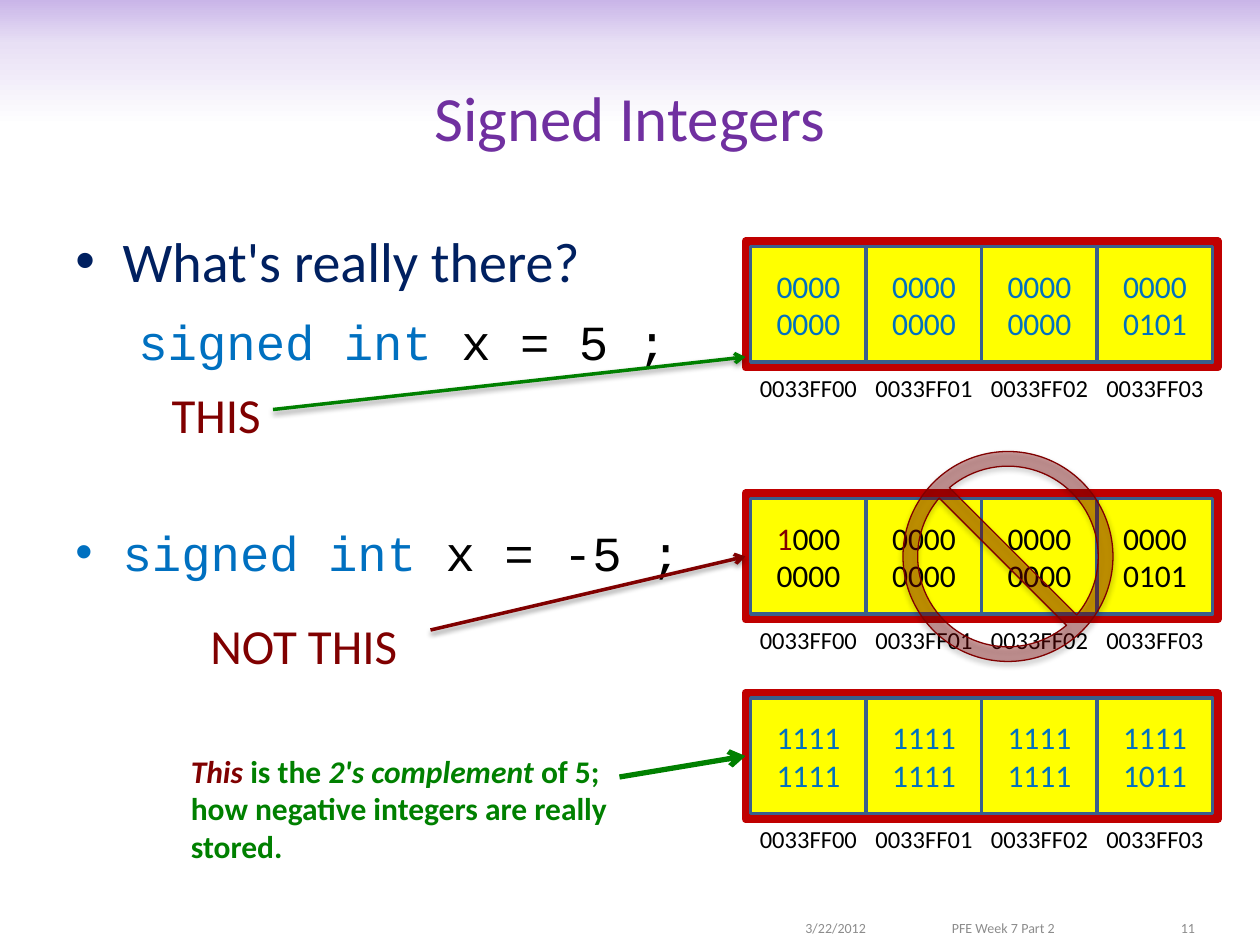
from lxml import etree
from pptx import Presentation
from pptx import util as u
from pptx.dml.color import RGBColor
from pptx.enum import shapes, text
from pptx.oxml import ns, parse_xml

Pt = u.Pt
PURPLE = RGBColor(0x70, 0x30, 0xA0)
NAVY = RGBColor(0x00, 0x20, 0x60)
BLUE = RGBColor(0x00, 0x70, 0xC0)
BLACK = RGBColor(0x00, 0x00, 0x00)
MAROON = RGBColor(0x80, 0x00, 0x00)
GREEN = RGBColor(0x00, 0x80, 0x00)
RED = RGBColor(0xC0, 0x00, 0x00)
YELLOW = RGBColor(0xFF, 0xFF, 0x00)
STEEL = RGBColor(0x3A, 0x5F, 0x8C)
GRAY = RGBColor(0x8C, 0x8C, 0x8C)
BAND_STOPS = [
    (0, RGBColor(0xC9, 0xB5, 0xE8)),
    (35, RGBColor(0xE8, 0xE0, 0xF5)),
    (100, RGBColor(0xFF, 0xFF, 0xFF)),
]
CENTER, RIGHT = text.PP_ALIGN.CENTER, text.PP_ALIGN.RIGHT
MIDDLE = text.MSO_ANCHOR.MIDDLE
RECTANGLE = shapes.MSO_SHAPE.RECTANGLE
CELL = 66


def child(parent, tag, **attributes):
    values = {key: str(value) for key, value in attributes.items()}
    return etree.SubElement(parent, ns.qn(tag), values)


class SlideBuilder:
    base = {"name": "Calibri", "size": Pt(18), "color": BLACK}

    def __init__(self, slide):
        self.slide = slide

    def add_runs(self, paragraph, runs, **style):
        for words, changes in runs:
            run = paragraph.add_run()
            run.text = words
            for key, value in {**self.base, **style, **changes}.items():
                if key == "color":
                    run.font.color.rgb = value
                else:
                    setattr(run.font, key, value)

    def fill_text(self, frame, paragraphs, align=None, anchor=None, **style):
        frame.word_wrap = True
        frame.vertical_anchor = anchor
        for index, runs in enumerate(paragraphs):
            paragraph = frame.add_paragraph() if index else frame.paragraphs[0]
            paragraph.alignment = align
            self.add_runs(paragraph, runs, **style)

    def text_box(self, box, paragraphs, **style):
        frame = self.slide.shapes.add_textbox(*map(Pt, box)).text_frame
        self.fill_text(frame, paragraphs, **style)
        return frame

    def effects(self, shape, opacity=0):
        effect_list = child(shape._element.spPr, "a:effectLst")
        if opacity:
            shadow = child(effect_list, "a:outerShdw", blurRad=Pt(3.1),
                           dist=Pt(1.7), dir=5400000, rotWithShape=0)
            color = child(shadow, "a:srgbClr", val=BLACK)
            child(color, "a:alpha", val=opacity * 1000)

    def shape(self, kind, box, fill, line, width, shadow=0):
        shape = self.slide.shapes.add_shape(kind, *map(Pt, box))
        shape.fill.solid()
        shape.fill.fore_color.rgb = fill
        shape.line.color.rgb = line
        shape.line.width = Pt(width)
        self.effects(shape, shadow)
        return shape

    def gradient_band(self, box, stops):
        band = self.slide.shapes.add_shape(RECTANGLE, *map(Pt, box))
        gradient = parse_xml(f'<a:gradFill {ns.nsdecls("a")} rotWithShape="1"/>')
        stop_list = child(gradient, "a:gsLst")
        for position, color in stops:
            stop = child(stop_list, "a:gs", pos=position * 1000)
            child(stop, "a:srgbClr", val=color)
        child(gradient, "a:lin", ang=5400000, scaled=0)
        band._element.spPr.append(gradient)
        band.line.fill.background()
        self.effects(band)

    def arrow(self, start, end, color, width, shadow=0):
        line = self.slide.shapes.add_connector(
            shapes.MSO_CONNECTOR.STRAIGHT, *map(Pt, start + end))
        line.line.color.rgb = color
        line.line.width = Pt(width)
        child(line._element.spPr.find(ns.qn("a:ln")), "a:tailEnd", type="arrow")
        self.effects(line, shadow)

    def memory(self, top, cells, color):
        left = 426
        self.shape(RECTANGLE, (left, top, 270, 72), RED, RED, 4.5)
        for index, paragraphs in enumerate(cells):
            x = left + index * CELL
            cell = self.shape(RECTANGLE, (x + 3, top + 3, CELL, CELL),
                              YELLOW, STEEL, 2)
            self.fill_text(cell.text_frame, paragraphs, align=CENTER,
                           anchor=MIDDLE, color=color)
            self.text_box((x, top + 71.5, 72, 24.5),
                          [[(f"0033FF0{index}", {})]],
                          align=CENTER, size=Pt(14))

    def no_sign(self, box, color, opacity):
        sign = self.shape(shapes.MSO_SHAPE.NO_SYMBOL, box, color, color, 0.75, 35)
        sign.adjustments[0] = 0.07
        fill = sign._element.spPr.find(ns.qn("a:solidFill"))
        child(fill[0], "a:alpha", val=opacity * 1000)

    def body(self, box, items):
        frame = self.text_box(box, [runs for runs, *_ in items], size=Pt(28))
        for paragraph, (_, before, margin, bullet) in zip(frame.paragraphs, items):
            paragraph.space_before = Pt(before)
            properties = paragraph._p.get_or_add_pPr()
            properties.set("marL", str(Pt(margin)))
            if bullet:
                properties.set("indent", str(Pt(-margin)))
                child(properties, "a:buFont", typeface="Arial")
                child(properties, "a:buChar", char="•")


def one_line(words):
    return [[(words, {})]]


def declaration(value):
    code = {"name": "Courier New"}
    return [("signed int ", {**code, "color": BLUE}), (f"x = {value} ;", code)]


def main():
    presentation = Presentation()
    presentation.slide_width, presentation.slide_height = Pt(720), Pt(540)
    page = SlideBuilder(presentation.slides.add_slide(presentation.slide_layouts[6]))

    page.gradient_band((0, 0, 720, 72), BAND_STOPS)
    page.text_box((36, 21.6, 648, 90), one_line("Signed Integers"),
                  align=CENTER, anchor=MIDDLE, size=Pt(36), color=PURPLE)
    question = [("What's really there?", {"size": Pt(32), "color": NAVY})]
    page.body((36, 126, 408, 356), [
        (question, 0, 27, True),
        (declaration(5), 10, 36, False),
        (declaration(-5), 87, 27, True),
    ])

    zeros = one_line("0000 0000")
    five = one_line("0000 0101")
    ones = one_line("1111") * 2
    page.memory(138, [zeros, zeros, zeros, five], BLUE)
    page.memory(396, [ones, ones, ones, one_line("1111") + one_line("1011")], BLUE)

    page.text_box((102, 426, 258, 73), [[
        ("This ", {"color": MAROON, "italic": True}),
        ("is the ", {}),
        ("2's complement", {"italic": True}),
        (" of 5; how negative integers are really stored.", {}),
    ]], color=GREEN, bold=True)
    page.arrow((354, 444), (426, 432), GREEN, 3)

    for left, width, words in [(424, 78, "3/22/2012"), (612, 78, "11"),
                               (504, 106, "PFE Week 7 Part 2")]:
        page.text_box((left, 520.5, width, 19.5), one_line(words),
                      align=RIGHT, anchor=MIDDLE, size=Pt(8), color=GRAY)

    signed = [[("1", {"color": MAROON}), ("000 0000", {})]]
    page.memory(282, [signed, zeros, zeros, five], BLACK)
    page.arrow((246, 360), (426, 318), MAROON, 2, 38)
    page.arrow((156, 234), (426, 204), GREEN, 2, 38)
    page.no_sign((516, 258, 120, 120), MAROON, 37)
    for box, words in [((60, 216, 96, 41), "THIS"), ((96, 348, 138, 41), "NOT THIS")]:
        page.text_box(box, one_line(words), align=RIGHT, size=Pt(28), color=MAROON)

    presentation.save("out.pptx")


if __name__ == "__main__":
    main()
